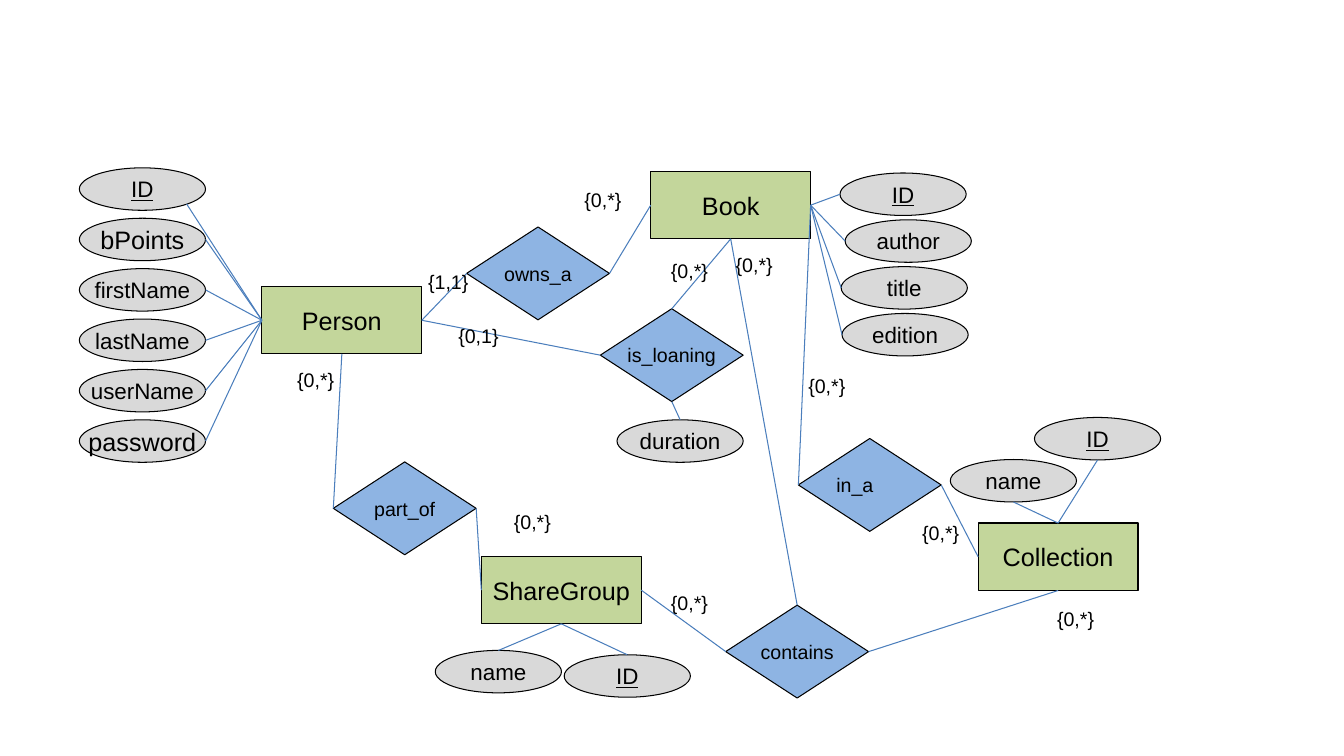
"""Draw the entity-relationship diagram of a book sharing service."""
import dataclasses
import enum

import lxml.etree
import pptx
import pptx.dml.color
import pptx.enum.shapes
import pptx.enum.text
import pptx.oxml.ns
import pptx.shapes.autoshape
import pptx.shapes.base
import pptx.slide
import pptx.text.text
import pptx.util

Cm = pptx.util.Cm
RGBColor = pptx.dml.color.RGBColor
Preset = pptx.enum.shapes.MSO_SHAPE

FONT = "Arial"
BLACK = RGBColor(0x00, 0x00, 0x00)
GREEN = RGBColor(0xC3, 0xD6, 0x9B)
GREY = RGBColor(0xD9, 0xD9, 0xD9)
BLUE = RGBColor(0x8E, 0xB4, 0xE3)
LINK_BLUE = RGBColor(0x4B, 0x7E, 0xBC)
LINE_WIDTH = pptx.util.Pt(0.75)


class Side(enum.Enum):
    """Attachment point: share of width, share of height, site out of eight."""
    TOP = (0.5, 0, 0)
    LEFT = (0, 0.5, 2)
    BOTTOM = (0.5, 1, 4)
    LOWER_RIGHT = (0.85, 0.85, 5)
    RIGHT = (1, 0.5, 6)


@dataclasses.dataclass(frozen=True)
class Kind:
    """Look shared by all nodes of one kind, with lengths in centimetres."""
    preset: Preset
    width: float
    height: float
    fill: RGBColor
    size: int


@dataclasses.dataclass(frozen=True)
class Node:
    """An entity or a relationship."""
    kind: Kind
    text: str
    left: float
    top: float


@dataclasses.dataclass(frozen=True)
class Attribute:
    """An attribute joined to its owner."""
    owner: str
    owner_side: Side
    text: str
    left: float
    top: float
    side: Side
    size: int = 16


@dataclasses.dataclass(frozen=True)
class Link:
    """A line between two named nodes."""
    start: str
    start_side: Side
    end: str
    end_side: Side


@dataclasses.dataclass(frozen=True)
class Cardinality:
    """A cardinality label."""
    left: float
    top: float
    text: str = "{0,*}"
    width: float = 1.45


ENTITY = Kind(Preset.FLOWCHART_PROCESS, 4.03, 1.7, GREEN, 18)
RELATION = Kind(Preset.FLOWCHART_DECISION, 3.6, 2.34, BLUE, 14)
ATTRIBUTE = Kind(Preset.OVAL, 3.18, 1.07, GREY, 16)

NODES = [
    Node(ENTITY, "Person", 6.6, 7.22),
    Node(ENTITY, "Book", 16.4, 4.32),
    Node(ENTITY, "Collection", 24.65, 13.18),
    Node(ENTITY, "ShareGroup", 12.13, 14.02),
    Node(RELATION, "owns_a", 11.76, 5.72),
    Node(RELATION, "part_of", 8.4, 11.64),
    Node(RELATION, "in_a", 20.12, 11.05),
    Node(RELATION, "is_loaning", 15.13, 7.78),
    Node(RELATION, "contains", 18.29, 15.25),
]

PERSON_ATTRIBUTES = [
    ("ID", Side.LOWER_RIGHT, 16),
    ("bPoints", Side.RIGHT, 18),
    ("firstName", Side.RIGHT, 16),
    ("lastName", Side.RIGHT, 16),
    ("userName", Side.RIGHT, 16),
    ("password", Side.RIGHT, 18),
]
BOOK_ATTRIBUTES = [("ID", 21.17), ("author", 21.3), ("title", 21.2), ("edition", 21.22)]

ATTRIBUTES = [
    *(Attribute("Person", Side.LEFT, text, 2, 4.23 + 1.27 * row, side, size)
      for row, (text, side, size) in enumerate(PERSON_ATTRIBUTES)),
    *(Attribute("Book", Side.RIGHT, text, left, 4.36 + 1.18 * row, Side.LEFT)
      for row, (text, left) in enumerate(BOOK_ATTRIBUTES)),
    Attribute("Collection", Side.TOP, "ID", 26.07, 10.52, Side.BOTTOM),
    Attribute("Collection", Side.TOP, "name", 23.95, 11.58, Side.BOTTOM),
    Attribute("ShareGroup", Side.BOTTOM, "name", 10.97, 16.39, Side.TOP),
    Attribute("ShareGroup", Side.BOTTOM, "ID", 14.22, 16.5, Side.TOP),
    Attribute("is_loaning", Side.BOTTOM, "duration", 15.55, 10.58, Side.TOP),
]

LINKS = [
    Link("Person", Side.RIGHT, "owns_a", Side.LEFT),
    Link("owns_a", Side.RIGHT, "Book", Side.LEFT),
    Link("Person", Side.RIGHT, "is_loaning", Side.LEFT),
    Link("Book", Side.BOTTOM, "is_loaning", Side.TOP),
    Link("Person", Side.BOTTOM, "part_of", Side.LEFT),
    Link("part_of", Side.RIGHT, "ShareGroup", Side.LEFT),
    Link("Book", Side.RIGHT, "in_a", Side.LEFT),
    Link("in_a", Side.RIGHT, "Collection", Side.LEFT),
    Link("Book", Side.BOTTOM, "contains", Side.TOP),
    Link("ShareGroup", Side.RIGHT, "contains", Side.LEFT),
    Link("contains", Side.RIGHT, "Collection", Side.BOTTOM),
]

CARDINALITIES = [
    Cardinality(14.48, 4.6),
    Cardinality(10.54, 6.68, "{1,1}", 1.65),
    Cardinality(11.3, 8.03, "{0,1}", 1.65),
    Cardinality(7.24, 9.14),
    Cardinality(12.7, 12.73),
    Cardinality(16.66, 6.4),
    Cardinality(18.29, 6.25),
    Cardinality(20.12, 9.3),
    Cardinality(22.99, 13),
    Cardinality(16.66, 14.76),
    Cardinality(26.39, 15.16),
]


def write_text(frame: pptx.text.text.TextFrame, text: str, size: int) -> None:
    """Put one unwrapped line of black text into a frame."""
    frame.text = text
    frame.word_wrap = False
    font = frame.paragraphs[0].runs[0].font
    font.name, font.size = FONT, pptx.util.Pt(size)
    font.underline = True if text == "ID" else None
    font.color.rgb = BLACK


def draw_node(page: pptx.slide.Slide, kind: Kind, text: str, left: float, top: float,
              size: int) -> pptx.shapes.autoshape.Shape:
    """Draw a filled, outlined shape with centred text."""
    shape = page.shapes.add_shape(kind.preset, Cm(left), Cm(top), Cm(kind.width), Cm(kind.height))
    shape.shadow.inherit = False
    shape.fill.solid()
    shape.fill.fore_color.rgb = kind.fill
    shape.line.color.rgb, shape.line.width = BLACK, LINE_WIDTH
    write_text(shape.text_frame, text, size)
    shape.text_frame.vertical_anchor = pptx.enum.text.MSO_ANCHOR.MIDDLE
    shape.text_frame.paragraphs[0].alignment = pptx.enum.text.PP_ALIGN.CENTER
    return shape


def draw_link(page: pptx.slide.Slide, start: pptx.shapes.base.BaseShape, start_side: Side,
              end: pptx.shapes.base.BaseShape, end_side: Side) -> None:
    """Draw a straight line glued to the given sides of two shapes."""
    points, sites = [], []
    for tag, shape, side in (("a:stCxn", start, start_side), ("a:endCxn", end, end_side)):
        across, down, site = side.value
        points += [int(shape.left + across * shape.width), int(shape.top + down * shape.height)]
        index = site if shape.auto_shape_type == Preset.OVAL else site // 2
        sites.append((tag, shape.shape_id, index))
    line = page.shapes.add_connector(pptx.enum.shapes.MSO_CONNECTOR.STRAIGHT, *points)
    line.line.color.rgb, line.line.width = LINK_BLUE, LINE_WIDTH
    qn = pptx.oxml.ns.qn
    lxml.etree.SubElement(line.element.spPr, qn("a:effectLst"))
    for tag, shape_id, index in sites:
        lxml.etree.SubElement(line.element.nvCxnSpPr.cNvCxnSpPr, qn(tag),
                              id=str(shape_id), idx=str(index))


def main() -> None:
    """Build and save the deck."""
    deck = pptx.Presentation()
    deck.slide_width, deck.slide_height = Cm(33.87), Cm(19.05)
    page = deck.slides.add_slide(deck.slide_layouts[6])
    shapes = {node.text: draw_node(page, node.kind, node.text, node.left, node.top, node.kind.size)
              for node in NODES}
    shapes["in_a"].text_frame.margin_left, shapes["in_a"].text_frame.margin_right = 0, Cm(0.75)
    for item in ATTRIBUTES:
        oval = draw_node(page, ATTRIBUTE, item.text, item.left, item.top, item.size)
        draw_link(page, oval, item.side, shapes[item.owner], item.owner_side)
    for link in LINKS:
        draw_link(page, shapes[link.start], link.start_side, shapes[link.end], link.end_side)
    for label in CARDINALITIES:
        box = page.shapes.add_textbox(Cm(label.left), Cm(label.top), Cm(label.width), Cm(0.86))
        write_text(box.text_frame, label.text, 14)
    deck.save("out.pptx")


main()
